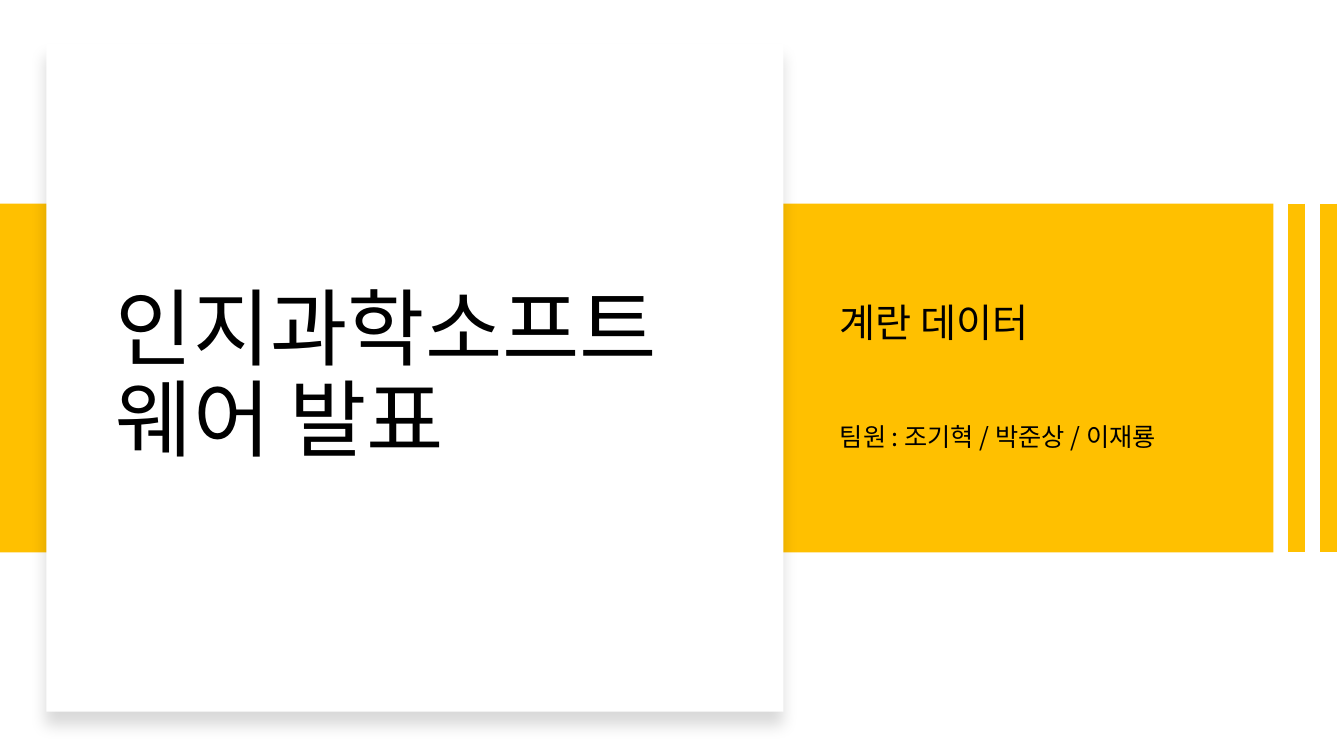
from dataclasses import dataclass

from lxml.etree import SubElement
from pptx import Presentation
from pptx.dml.color import RGBColor
from pptx.enum.shapes import MSO_CONNECTOR as Connector, MSO_SHAPE as Shape
from pptx.enum.text import MSO_ANCHOR as Anchor, MSO_AUTO_SIZE as AutoSize, PP_ALIGN as Align
from pptx.oxml.ns import qn
from pptx.util import Inches, Pt

COLORS = {"band": "FFC000", "card": "FFFFFF", "text": "000000", "shadow": "000000"}
FONT = "Noto Sans CJK KR"
BAND_TOP, BAND_BOTTOM = 2.02, 5.48
STRIPE_CENTERS = (12.86, 13.18)


@dataclass(frozen=True)
class Box:
    left: float
    top: float
    width: float
    height: float

    def lengths(self) -> tuple:
        return tuple(Inches(v) for v in (self.left, self.top, self.width, self.height))


@dataclass(frozen=True)
class Line:
    text: str
    size: int
    space_before: int = 0


def color(name: str) -> RGBColor:
    return RGBColor.from_string(COLORS[name])


def add_rectangle(shapes, box: Box, fill: str):
    rectangle = shapes.add_shape(Shape.RECTANGLE, *box.lengths())
    rectangle.shadow.inherit = False
    rectangle.fill.solid()
    rectangle.fill.fore_color.rgb = color(fill)
    rectangle.line.fill.background()
    return rectangle


def add_stripe(shapes, center: float) -> None:
    stripe = shapes.add_connector(
        Connector.STRAIGHT, Inches(center), Inches(BAND_TOP), Inches(center), Inches(BAND_BOTTOM)
    )
    stripe.line.color.rgb = color("band")
    stripe.line.width = Pt(12)
    SubElement(stripe.element.spPr, qn("a:effectLst"))


def add_soft_shadow(card) -> None:
    effects = card.element.spPr.find(qn("a:effectLst"))
    shadow = SubElement(
        effects, qn("a:outerShdw"), blurRad=str(Pt(11)), dist=str(Pt(10)),
        dir="5400000", algn="t", rotWithShape="0",
    )
    tint = SubElement(shadow, qn("a:srgbClr"), val=COLORS["shadow"])
    SubElement(tint, qn("a:alpha"), val="15000")


def fill_placeholder(placeholder, box: Box, lines: list[Line]) -> None:
    """Place, fill and format a placeholder, and bring it to the front."""
    placeholder.left, placeholder.top, placeholder.width, placeholder.height = box.lengths()
    frame = placeholder.text_frame
    frame.text = "\n".join(line.text for line in lines)
    frame.word_wrap = True
    frame.auto_size = AutoSize.NONE
    frame.vertical_anchor = Anchor.MIDDLE
    for paragraph, line in zip(frame.paragraphs, lines):
        paragraph.alignment = Align.LEFT
        paragraph.line_spacing = 0.9
        paragraph.space_before = Pt(line.space_before)
        font = paragraph.font
        font.size = Pt(line.size)
        font.color.rgb = color("text")
        font.name = FONT
        properties = paragraph._p.pPr.find(qn("a:defRPr"))
        SubElement(properties, qn("a:ea"), typeface=FONT)
    placeholder.element.getparent().append(placeholder.element)


def main() -> None:
    deck = Presentation()
    deck.slide_width, deck.slide_height = Inches(13.33), Inches(7.5)
    slide = deck.slides.add_slide(deck.slide_layouts[0])
    title, subtitle = slide.placeholders

    band = slide.shapes.add_group_shape()
    add_rectangle(band.shapes, Box(0, BAND_TOP, 12.63, BAND_BOTTOM - BAND_TOP), "band")
    for center in STRIPE_CENTERS:
        add_stripe(band.shapes, center)

    add_soft_shadow(add_rectangle(slide.shapes, Box(0.46, 0.43, 7.31, 6.63), "card"))

    fill_placeholder(title, Box(1.05, 1.06, 6.12, 5.38), [Line("인지과학소프트웨어 발표", 60)])
    fill_placeholder(
        subtitle,
        Box(8.23, 2.59, 3.96, 2.32),
        [Line("계란 데이터", 28, 10), Line("팀원 : 조기혁 / 박준상 / 이재룡", 18, 56)],
    )
    deck.save("out.pptx")


if __name__ == "__main__":
    main()
